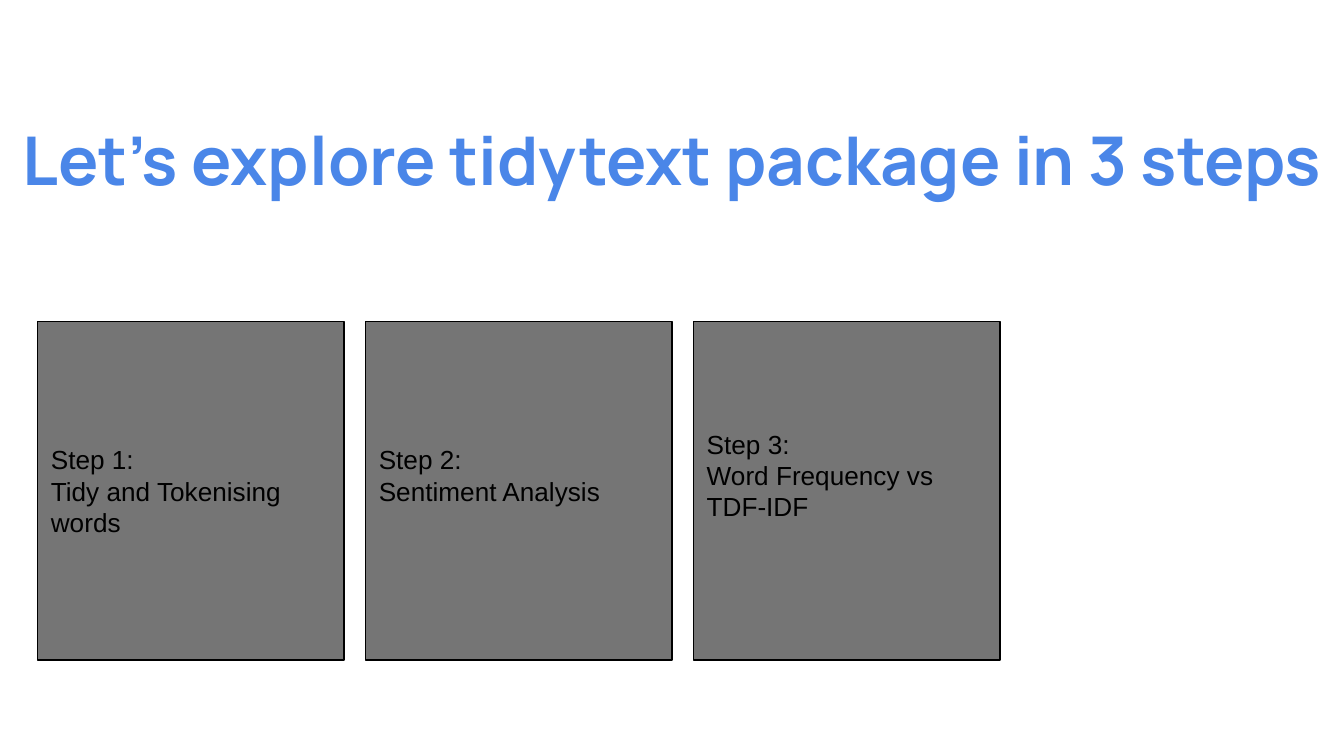
from pptx import Presentation
from pptx.dml.color import RGBColor
from pptx.enum.shapes import MSO_SHAPE
from pptx.enum.text import MSO_ANCHOR, PP_ALIGN
from pptx.util import Inches, Pt

BLUE = RGBColor(0x4A, 0x86, 0xE8)
GRAY = RGBColor(0x75, 0x75, 0x75)
BLACK = RGBColor(0, 0, 0)
PROCESS = MSO_SHAPE.FLOWCHART_PROCESS
MIDDLE, TOP = MSO_ANCHOR.MIDDLE, MSO_ANCHOR.TOP
LEFT = PP_ALIGN.LEFT

TITLE = "Let’s explore tidytext package in 3 steps"
INSET = 0.1
RAISED = 0.33  # bottom inset that lifts the text by half a line
STEPS = [  # heading, description, bottom inset
    ("Step 1:", "Tidy and Tokenising words", INSET),
    ("Step 2:", "Sentiment Analysis", RAISED),
    ("Step 3:", "Word Frequency vs TDF-IDF", RAISED),
]
BOX_LEFT, BOX_TOP, BOX_W, BOX_H = 0.28, 2.39, 2.28, 2.52
PITCH = 2.44


def write(shape, lines, font, size, color, anchor, bottom=INSET, bold=False):
    tf = shape.text_frame
    tf.word_wrap = True
    tf.vertical_anchor = anchor
    tf.margin_left = tf.margin_right = tf.margin_top = Inches(INSET)
    tf.margin_bottom = Inches(bottom)
    tf.text = "\n".join(lines)
    for p in tf.paragraphs:
        p.alignment = LEFT
        p.font.name = font
        p.font.size = Pt(size)
        p.font.bold = bold
        p.font.color.rgb = color


prs = Presentation()
prs.slide_width = Inches(10)
prs.slide_height = prs.slide_width * 9 // 16
s = prs.slides.add_slide(prs.slide_layouts[6])

title = s.shapes.add_textbox(Inches(0.07), Inches(0.78), Inches(9.88), Inches(0.8))
write(title, [TITLE], "Manrope", 36, BLUE, TOP, bold=True)

for i, (heading, description, bottom) in enumerate(STEPS):
    box = s.shapes.add_shape(PROCESS, Inches(BOX_LEFT + i * PITCH), Inches(BOX_TOP),
                             Inches(BOX_W), Inches(BOX_H))
    box.shadow.inherit = False
    box.fill.solid()
    box.fill.fore_color.rgb = GRAY
    box.line.color.rgb = BLACK
    box.line.width = Pt(0.75)
    write(box, [heading, description], "Arial", 14, BLACK, MIDDLE, bottom)

prs.save("out.pptx")
